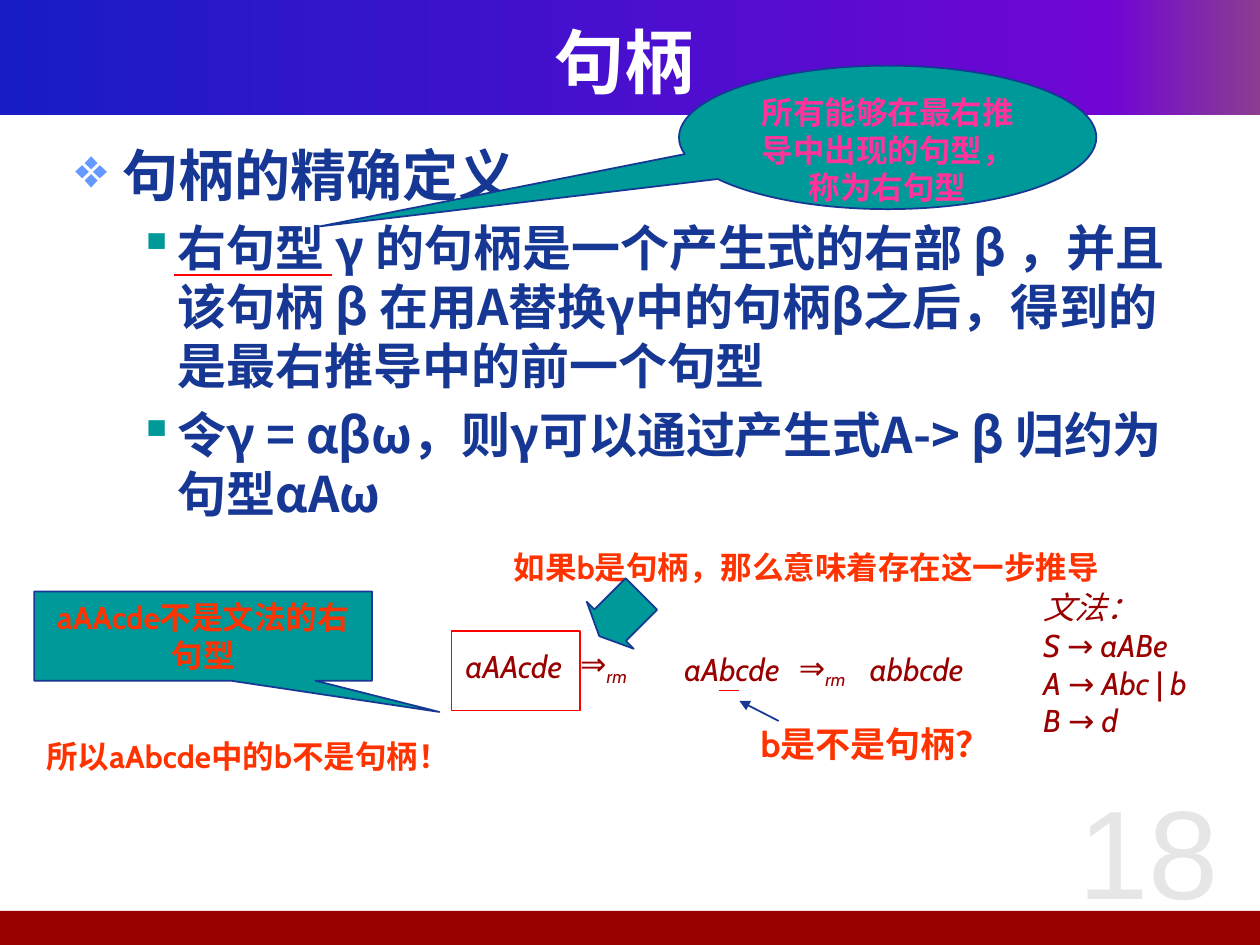
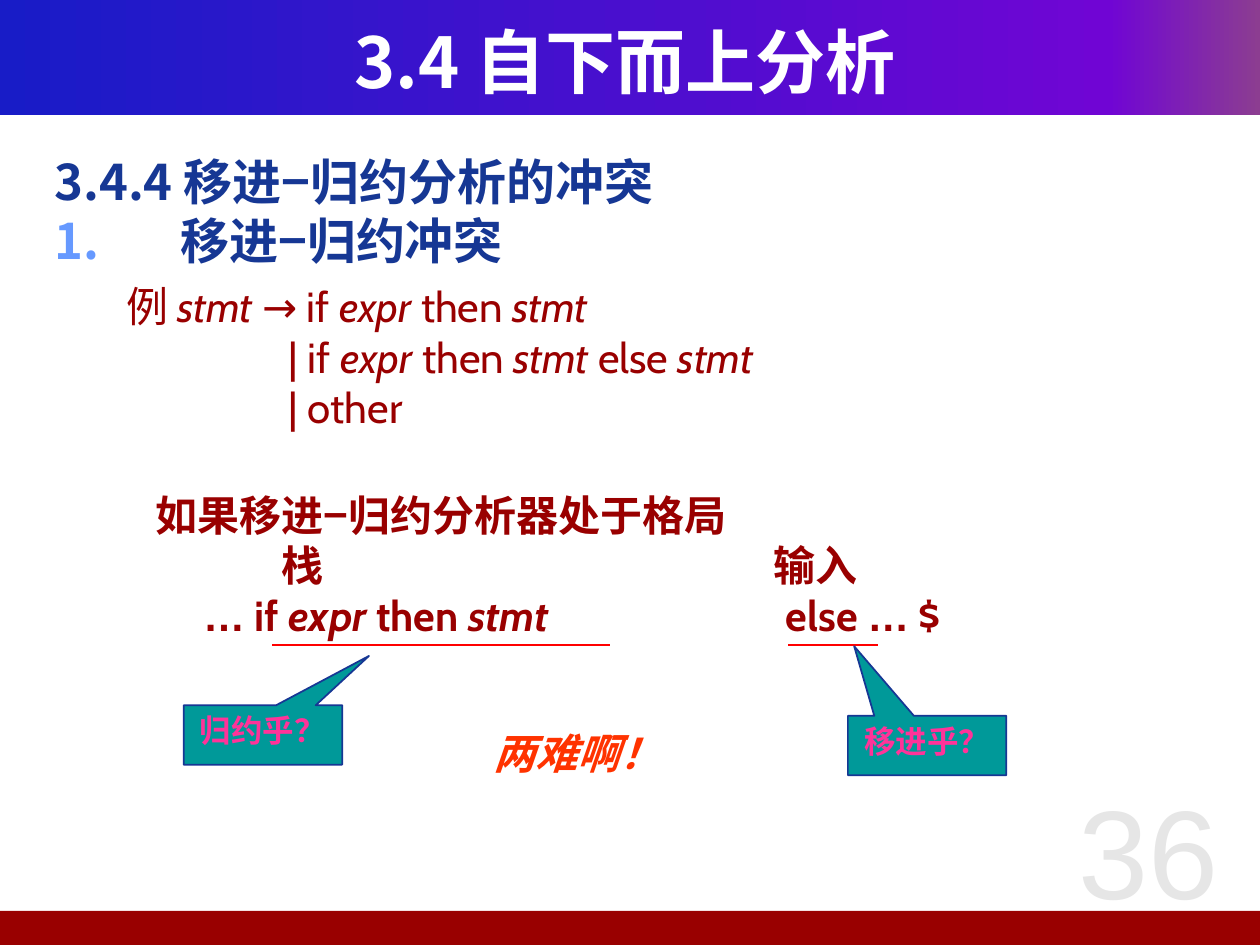
from copy import deepcopy

from lxml.etree import SubElement
from pptx import Presentation
from pptx.dml.color import RGBColor
from pptx.enum.shapes import MSO_CONNECTOR, MSO_SHAPE
from pptx.enum.text import MSO_ANCHOR, PP_ALIGN
from pptx.oxml.ns import qn
from pptx.util import Pt

COLORS = {
    "white": "FFFFFF",
    "navy": "163794",
    "teal": "009999",
    "maroon": "990000",
    "red": "FF0000",
    "orange": "FF3300",
    "pink": "FF3399",
    "sky": "6699FF",
    "pale": "E6E6E6",
}
BAND_STOPS = [(0, "181CC7"), (0.88, "7005D4"), (1, "8C3D91")]
CJK, LATIN, NUMERAL = "Noto Sans CJK SC", "Cabin", "Arial"
TITLE_ONLY = 5


def rgb(name):
    return RGBColor.from_string(COLORS[name])


def add_runs(paragraph, text, size=18, face=LATIN, color="maroon", bold=False,
             italic=False, baseline=None):
    for index, piece in enumerate(text.split("*")):
        if not piece:
            continue
        run = paragraph.add_run()
        run.text = piece
        font = run.font
        font.size, font.name = Pt(size), face
        font.bold, font.italic = bold, italic != bool(index % 2)
        font.color.rgb = rgb(color)
        properties = font._element
        east_asian = NUMERAL if face == NUMERAL else CJK
        SubElement(properties, qn("a:ea")).set("typeface", east_asian)
        if baseline:
            properties.set("baseline", str(baseline))


def write_text(shape, paragraphs, align=PP_ALIGN.LEFT, anchor=MSO_ANCHOR.TOP, **style):
    frame = shape.text_frame
    frame.word_wrap = True
    frame.vertical_anchor = anchor
    for index, pieces in enumerate(paragraphs):
        paragraph = frame.add_paragraph() if index else frame.paragraphs[0]
        paragraph.alignment = align
        if isinstance(pieces, str):
            pieces = [(pieces, {})]
        for text, changes in pieces:
            add_runs(paragraph, text, **{**style, **changes})
    return frame.paragraphs


def add_text(slide, box, *paragraphs, **style):
    shape = slide.shapes.add_textbox(*map(Pt, box))
    return write_text(shape, paragraphs, **style)


def set_indent(paragraph, left, hanging, bullet=None, bullet_color=None):
    properties = paragraph._p.get_or_add_pPr()
    properties.set("marL", str(Pt(left)))
    properties.set("indent", str(-Pt(hanging)))
    if bullet:
        color = SubElement(properties, qn("a:buClr"))
        SubElement(color, qn("a:srgbClr")).set("val", COLORS[bullet_color])
        if bullet == "1.":
            SubElement(properties, qn("a:buAutoNum")).set("type", "arabicPeriod")
        else:
            SubElement(properties, qn("a:buChar")).set("char", bullet)


def set_tabs(paragraph, *positions):
    tabs = SubElement(paragraph._p.get_or_add_pPr(), qn("a:tabLst"))
    for position in positions:
        tab = SubElement(tabs, qn("a:tab"))
        tab.set("pos", str(Pt(position)))
        tab.set("algn", "l")


def add_box(slide, kind, box, fill=None, line=None, adjustments=()):
    shape = slide.shapes.add_shape(kind, *map(Pt, box))
    shape.shadow.inherit = False
    for index, value in enumerate(adjustments):
        shape.adjustments[index] = value
    if fill:
        shape.fill.solid()
        shape.fill.fore_color.rgb = rgb(fill)
    else:
        shape.fill.background()
    if line:
        shape.line.color.rgb = rgb(line)
        shape.line.width = Pt(1)
    else:
        shape.line.fill.background()
    return shape


def add_callout(slide, kind, box, tip, text, color):
    shape = add_box(slide, kind, box, "teal", "navy", tip)
    write_text(shape, [text], align=PP_ALIGN.CENTER, color=color, bold=True)


def add_line(slide, start, end, color="red", arrow=False):
    connector = slide.shapes.add_connector(
        MSO_CONNECTOR.STRAIGHT, *map(Pt, (*start, *end)))
    connector.line.color.rgb = rgb(color)
    connector.line.width = Pt(1)
    if arrow:
        tail = SubElement(connector.line._get_or_add_ln(), qn("a:tailEnd"))
        tail.set("type", "triangle")
    SubElement(connector._element.spPr, qn("a:effectLst"))


def add_title_band(slide):
    band = add_box(slide, MSO_SHAPE.RECTANGLE, (0, 0, 720, 65.5))
    band.fill.gradient()
    band.fill.gradient_angle = 0
    stop_list = band._element.spPr.find(qn("a:gradFill")).find(qn("a:gsLst"))
    stop_list.append(deepcopy(stop_list[-1]))
    for stop, (position, color) in zip(band.fill.gradient_stops, BAND_STOPS):
        stop.position = position
        stop.color.rgb = RGBColor.from_string(color)


def start_slide(presentation, title, number):
    slide = presentation.slides.add_slide(presentation.slide_layouts[TITLE_ONLY])
    add_title_band(slide)
    add_box(slide, MSO_SHAPE.RECTANGLE, (-3, 520.5, 723, 19.5), "maroon")
    add_text(slide, (592.5, 434, 127.5, 102), number, size=72, face=NUMERAL,
             color="pale", align=PP_ALIGN.CENTER, anchor=MSO_ANCHOR.MIDDLE)
    placeholder = slide.shapes.title
    placeholder.left, placeholder.top = Pt(24), Pt(12)
    placeholder.width, placeholder.height = Pt(666), Pt(45)
    write_text(placeholder, [title], size=40, face=CJK, color="white", bold=True,
               align=PP_ALIGN.CENTER, anchor=MSO_ANCHOR.MIDDLE)
    slide.shapes._spTree.append(placeholder._element)
    return slide


def build_handle_slide(presentation):
    slide = start_slide(presentation, "句柄", "18")
    heading, *points = add_text(
        slide, (36, 77, 648, 413),
        [("句柄的精确定义", {"size": 32})],
        "右句型 γ 的句柄是一个产生式的右部 β ，并且该句柄 β 在用A替换γ中的句柄β之后，"
        "得到的是最右推导中的前一个句型",
        "令γ = αβω，则γ可以通过产生式A-> β 归约为句型αAω",
        size=28, face=CJK, color="navy", bold=True)
    set_indent(heading, 27, 27, "❖", "sky")
    for point in points:
        point.space_before = Pt(5.6)
        set_indent(point, 58.5, 22.5, "▪", "teal")

    for left, top, form in [(259, 366, "aAAcde"), (384, 368, "aAbcde"),
                            (490, 368, "abbcde")]:
        add_text(slide, (left, top, 74, 29), form, italic=True)
    for left, top in [(324.5, 364.5), (449.5, 366.5)]:
        add_text(slide, (left, top, 47, 29),
                 [("⇒", {}), ("rm", {"baseline": -25000})], italic=True)
    add_line(slide, (411, 394.5), (422.5, 394.5))
    add_box(slide, MSO_SHAPE.RECTANGLE, (258, 360.5, 73.5, 45.5), line="red")

    add_callout(slide, MSO_SHAPE.RECTANGULAR_CALLOUT, (19.5, 338, 193, 51),
                (0.7, 0.85), "aAAcde不是文法的右句型", "orange")
    add_line(slide, (445, 412), (422.5, 400.5), "navy", arrow=True)
    for box, size, remark in [
        ((427.5, 409.5, 153.5, 31), 20, "b是不是句柄？"),
        ((19.5, 417.5, 272, 29), 18, "所以aAbcde中的b不是句柄！"),
        ((286.5, 309.5, 397, 29), 18, "如果b是句柄，那么意味着存在这一步推导"),
    ]:
        add_text(slide, box, remark, size=size, color="orange", bold=True)
    step_arrow = add_box(slide, MSO_SHAPE.LEFT_ARROW, (337.5, 332.5, 34, 38),
                         "teal", "navy", (0.67, 0.26))
    step_arrow.rotation = 315
    add_callout(slide, MSO_SHAPE.OVAL_CALLOUT, (388, 37.5, 238.5, 82),
                (-1.36, 0.62), "所有能够在最右推导中出现的句型，称为右句型", "pink")
    add_text(slide, (589, 332.5, 112, 94), "文法：", "S → aABe", "A → Abc *|* b",
             "B → d", italic=True)
    add_line(slide, (99.5, 157), (190, 157))


def build_conflict_slide(presentation):
    slide = start_slide(presentation, "3.4 自下而上分析", "36")
    section, conflict = add_text(
        slide, (24, 83, 672, 178), "3.4.4 移进−归约分析的冲突", "移进−归约冲突",
        size=28, face=CJK, color="navy", bold=True)
    set_indent(section, 48, 48)
    set_indent(conflict, 72, 72, "1.", "sky")

    for left, right, box, tip, question in [
        (155.5, 348.5, (105, 403, 90.5, 34), (0.67, -1.33), "归约乎？"),
        (450.5, 502, (484.5, 409, 90.5, 34), (-0.46, -1.67), "移进乎？"),
    ]:
        add_line(slide, (left, 368.5), (right, 368.5))
        add_callout(slide, MSO_SHAPE.RECTANGULAR_CALLOUT, box, tip, question, "pink")

    dots = ("…", {"face": NUMERAL})
    _, labels, contents = add_text(
        slide, (82, 276, 476, 94), "如果移进−归约分析器处于格局", "\t栈\t输入",
        [("\t", {}), dots, (" if *expr* then *stmt*\telse ", {}), dots, (" $", {})],
        size=24, bold=True)
    set_tabs(labels, 72, 353)
    set_tabs(contents, 27, 360)

    _, *alternatives = add_text(
        slide, (65, 157, 417, 94), "例 *stmt* → if *expr* then *stmt*",
        "| if *expr* then *stmt* else *stmt*", "| other", size=24)
    for alternative in alternatives:
        set_indent(alternative, 93, 0)
    add_text(slide, (275, 412, 119, 36), "两难啊！", size=24, color="orange",
             bold=True, italic=True)


def main():
    presentation = Presentation()
    presentation.slide_width, presentation.slide_height = Pt(720), Pt(540)
    build_handle_slide(presentation)
    build_conflict_slide(presentation)
    presentation.save("out.pptx")


if __name__ == "__main__":
    main()
